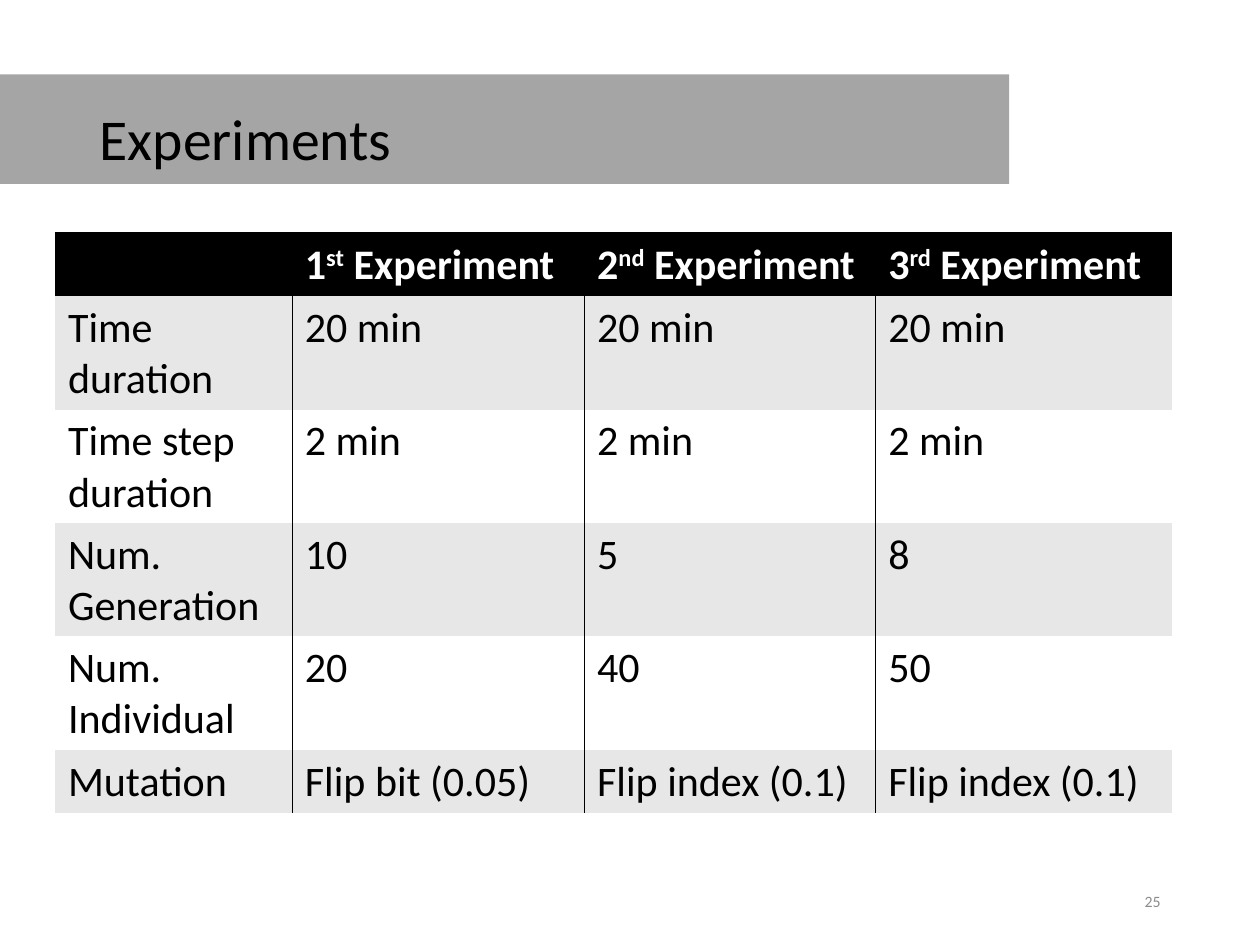
from dataclasses import dataclass

from lxml.etree import SubElement
from pptx import Presentation
from pptx.dml.color import RGBColor as RGB
from pptx.enum.shapes import MSO_SHAPE as SHAPE
from pptx.enum.text import MSO_ANCHOR as ANCHOR, PP_ALIGN as ALIGN
from pptx.oxml import parse_xml
from pptx.oxml.ns import nsdecls, qn
from pptx.util import Inches, Pt


@dataclass(frozen=True)
class Theme:
    """Colours, type sizes and font of the slide."""
    font: str = "Calibri"
    black: str = "000000"
    white: str = "FFFFFF"
    bar: str = "A5A5A5"
    band: str = "E7E7E7"
    muted: str = "8C8C8C"
    title: int = 33
    cell: int = 24
    number: int = 9


THEME = Theme()
NO_GRID = "{2D5ABB26-0587-4C30-8999-92F81FD0307C}"
COL_WIDTHS = (1.88, 2.32, 2.31, 2.35)
HEAD_HEIGHT, ROW_HEIGHT = 0.49, 0.41
ORDINALS = ("st", "nd", "rd")
ROWS = (
    ("Time duration", "20 min", "20 min", "20 min"),
    ("Time step duration", "2 min", "2 min", "2 min"),
    ("Num. Generation", "10", "5", "8"),
    ("Num. Individual", "20", "40", "50"),
    ("Mutation", "Flip bit (0.05)", "Flip index (0.1)", "Flip index (0.1)"),
)


def apply(obj, formats):
    """Set each attribute named in formats on obj."""
    for name, value in formats.items():
        setattr(obj, name, value)


def add_run(p, text, size, color, bold=False, raised=False):
    """Append a formatted run to a paragraph."""
    r = p.add_run()
    r.text = text
    apply(r.font, {"name": THEME.font, "size": Pt(size), "bold": bold})
    r.font.color.rgb = RGB.from_string(color)
    if raised:
        r.font._element.set("baseline", "30000")


def add_title(s, box, text):
    """Place the grey bar and, over it, the title placeholder."""
    left, top, width, height = box
    bar = s.shapes.add_shape(SHAPE.RECTANGLE, *map(Inches, box))
    bar.shadow.inherit = False
    bar.fill.solid()
    bar.fill.fore_color.rgb = RGB.from_string(THEME.bar)
    bar.line.fill.background()
    sp = s.shapes.title
    sp._element.addprevious(bar._element)
    apply(sp, {"left": Inches(left + 0.7), "top": Inches(top - 0.19),
               "width": Inches(width + 0.6), "height": Inches(height + 0.58)})
    tf = sp.text_frame
    apply(tf, {"vertical_anchor": ANCHOR.MIDDLE, "word_wrap": True})
    p = tf.paragraphs[0]
    apply(p, {"alignment": ALIGN.LEFT, "line_spacing": 0.9})
    add_run(p, text, THEME.title, THEME.black)


def style_cell(cell, fill, edges):
    """Fill a cell and draw black borders on the given edges."""
    cell.fill.solid()
    cell.fill.fore_color.rgb = RGB.from_string(fill)
    tc_pr = cell._tc.get_or_add_tcPr()
    for i, edge in enumerate(edges):
        tc_pr.insert(i, parse_xml(
            f'<a:ln{edge} {nsdecls("a")} w="12700"><a:solidFill>'
            f'<a:srgbClr val="{THEME.black}"/></a:solidFill></a:ln{edge}>'))


def add_experiments(s, box):
    """Place the table of experiments in the box."""
    frame = s.shapes.add_table(len(ROWS) + 1, len(COL_WIDTHS), *map(Inches, box))
    table = frame.table
    tbl_pr = table._tbl.tblPr
    style = tbl_pr.find(qn("a:tableStyleId"))
    if style is None:
        style = SubElement(tbl_pr, qn("a:tableStyleId"))
    style.text = NO_GRID
    for column, width in zip(table.columns, COL_WIDTHS):
        column.width = Inches(width)
    for i, row in enumerate(table.rows):
        row.height = Inches(ROW_HEIGHT if i else HEAD_HEIGHT)
    frame.height = Inches(box[3])

    last = len(COL_WIDTHS) - 1
    for c in range(last + 1):
        head = table.cell(0, c)
        style_cell(head, THEME.black, "LRT")
        if c:
            parts = ((str(c), False), (ORDINALS[c - 1], True), (" Experiment", False))
            for text, raised in parts:
                add_run(head.text_frame.paragraphs[0], text, THEME.cell,
                        THEME.white, bold=True, raised=raised)
    for i, values in enumerate(ROWS):
        for c, text in enumerate(values):
            cell = table.cell(i + 1, c)
            edges = ("L" if c else "") + ("R" if c < last else "")
            style_cell(cell, THEME.white if i % 2 else THEME.band, edges)
            add_run(cell.text_frame.paragraphs[0], text, THEME.cell, THEME.black)


def add_number(s, box, text):
    """Place the slide number in the box."""
    tf = s.shapes.add_textbox(*map(Inches, box)).text_frame
    apply(tf, {"word_wrap": True, "vertical_anchor": ANCHOR.MIDDLE})
    p = tf.paragraphs[0]
    p.alignment = ALIGN.RIGHT
    add_run(p, text, THEME.number, THEME.muted)


def main():
    """Build and save the slide."""
    prs = Presentation()
    apply(prs, {"slide_width": Inches(10), "slide_height": Inches(7.5)})
    s = prs.slides.add_slide(prs.slide_layouts[5])
    add_title(s, (-0.01, 0.59, 8.02, 0.87), "Experiments")
    add_number(s, (7.06, 6.95, 2.25, 0.4), "25")
    add_experiments(s, (0.44, 1.85, 8.87, 4.6))
    prs.save("out.pptx")


main()
